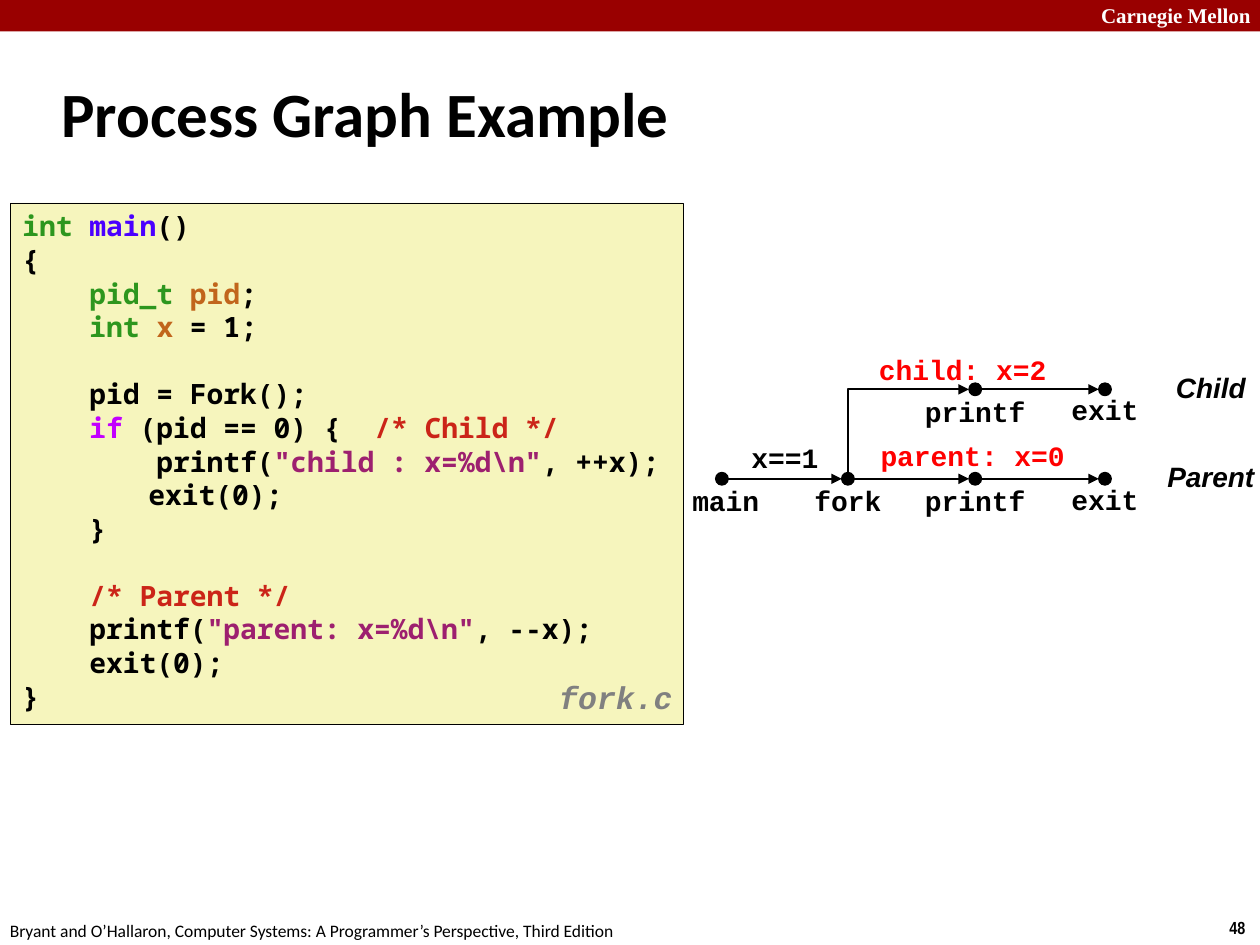
from lxml import etree
from pptx import Presentation
from pptx import util as u
from pptx.dml.color import RGBColor
from pptx.enum import shapes, text
from pptx.oxml.ns import qn

COLORS = {
    "black": "000000", "white": "FFFFFF", "banner": "990000", "code": "F6F5BD",
    "type": "2D961E", "function": "4A00FF", "variable": "C1651C",
    "keyword": "C200FF", "comment": "CB2418", "string": "9D206F",
    "value": "FF0000", "file": "808080",
}
CODE_PITCH = 19.2
# Each line: its runs as (text, colour), then the number of empty lines above it.
CODE_LINES = [
    ([("int ", "type"), ("main", "function"), ("()", "black")], 0),
    ([("{", "black")], 0),
    ([("    pid_t ", "type"), ("pid", "variable"), (";", "black")], 0),
    ([("    int ", "type"), ("x", "variable"), (" = 1;", "black")], 0),
    ([("    pid = Fork();", "black")], 1),
    ([("    if", "keyword"), (" (pid == 0) {  ", "black"), ("/* Child */", "comment")], 0),
    ([("        printf(", "black"), ('"child : x=%d\\n"', "string"), (", ++x);", "black")], 0),
    ([("\texit(0);", "black")], 0),
    ([("    }", "black")], 0),
    ([("    /* Parent */", "comment")], 1),
    ([("    printf(", "black"), ('"parent: x=%d\\n"', "string"), (", --x);", "black")], 0),
    ([("    exit(0);", "black")], 0),
    ([("}", "black")], 0),
]


def rgb(name):
    return RGBColor.from_string(COLORS[name])


def add_run(paragraph, content, font="Courier New", size=16, color="black",
            bold=True, italic=False):
    run = paragraph.add_run()
    run.text = content
    run.font.name = font
    run.font.size = u.Pt(size)
    run.font.bold = bold
    run.font.italic = italic
    run.font.color.rgb = rgb(color)


def add_text(slide, content, left, top, width, height, align=text.PP_ALIGN.LEFT,
             anchor=text.MSO_ANCHOR.TOP, wrap=False, spacing=None, **font_format):
    shape = slide.shapes.add_textbox(*map(u.Inches, (left, top, width, height)))
    frame = shape.text_frame
    frame.word_wrap = wrap
    frame.vertical_anchor = anchor
    paragraph = frame.paragraphs[0]
    paragraph.alignment = align
    if spacing:
        paragraph.line_spacing = spacing
    add_run(paragraph, content, **font_format)


def add_filled_shape(slide, kind, left, top, width, height, fill, line_width=None):
    shape = slide.shapes.add_shape(kind, *map(u.Inches, (left, top, width, height)))
    shape.shadow.inherit = False
    shape.fill.solid()
    shape.fill.fore_color.rgb = rgb(fill)
    if line_width is None:
        shape.line.fill.background()
    else:
        shape.line.color.rgb = rgb("black")
        shape.line.width = u.Pt(line_width)
    return shape


def add_arrow(slide, start, end, kind=shapes.MSO_CONNECTOR.STRAIGHT):
    connector = slide.shapes.add_connector(kind, *map(u.Inches, (*start, *end)))
    connector.line.color.rgb = rgb("black")
    connector.line.width = u.Pt(1)
    properties = connector._element.spPr
    etree.SubElement(properties.find(qn("a:ln")), qn("a:tailEnd"), type="triangle")
    etree.SubElement(properties, qn("a:effectLst"))
    return connector


def add_corner_arrow(slide, start, end):
    """Arrow that goes up from start and then right to end."""
    run, rise = end[0] - start[0], start[1] - end[1]
    center_x, center_y = (start[0] + end[0]) / 2, (start[1] + end[1]) / 2
    # The preset is turned by a quarter, so its width is the rise.
    connector = add_arrow(slide, (center_x + rise / 2, center_y + run / 2),
                          (center_x - rise / 2, center_y - run / 2),
                          shapes.MSO_CONNECTOR.ELBOW)
    properties = connector._element.spPr
    properties.find(qn("a:xfrm")).set("rot", "5400000")
    properties.find(qn("a:prstGeom")).set("prst", "bentConnector2")


def add_tab_stop(paragraph, position):
    tabs = etree.SubElement(paragraph._p.get_or_add_pPr(), qn("a:tabLst"))
    etree.SubElement(tabs, qn("a:tab"), pos=str(u.Inches(position)), algn="l")


def add_banner(slide, left, top, width, height):
    add_filled_shape(slide, shapes.MSO_SHAPE.RECTANGLE, left, top, width, height, "banner")
    add_text(slide, "Carnegie Mellon", left + width - 1.36, top - 0.03, 1.43, 0.3,
             wrap=True, font="Times New Roman", size=12, color="white")


def add_footer(slide, left, top, width):
    add_text(slide, "Bryant and O’Hallaron, Computer Systems: "
             "A Programmer’s Perspective, Third Edition",
             left - 0.02, top + 0.02, 5.08, 0.27, font="Calibri", size=10, bold=False)
    add_text(slide, "48", left + width - 0.34, top, 0.34, 0.27,
             font="Arial Narrow", size=10)


def add_code_panel(slide, left, top, width, height):
    panel = add_filled_shape(slide, shapes.MSO_SHAPE.RECTANGLE,
                             left, top, width, height, "code", 0.25)
    frame = panel.text_frame
    frame.word_wrap = True
    frame.vertical_anchor = text.MSO_ANCHOR.TOP
    for index, (runs, gap) in enumerate(CODE_LINES):
        paragraph = frame.add_paragraph() if index else frame.paragraphs[0]
        paragraph.alignment = text.PP_ALIGN.LEFT
        if gap:
            paragraph.space_before = u.Pt(gap * CODE_PITCH)
        if runs[0][0].startswith("\t"):
            add_tab_stop(paragraph, 1)
        for content, color in runs:
            add_run(paragraph, content, font="Noto Sans Mono", color=color)
    add_text(slide, "fork.c", left + width - 1.08, top + height - 0.39, 1.17, 0.39,
             spacing=0.94, size=18, color="file", italic=True)


def add_process_graph(slide, left, top):
    dot, label_height = 0.1, 0.37
    main_x, fork_x, printf_x, exit_x = (left + x for x in (0.34, 1.34, 2.35, 3.38))
    child_y, parent_y = top + 0.34, top + 1.05

    def add_label(content, center_x, label_top, width=1.04, **font_format):
        add_text(slide, content, center_x - width / 2, label_top, width, label_height,
                 align=text.PP_ALIGN.CENTER, **font_format)

    add_corner_arrow(slide, (fork_x, parent_y), (printf_x - dot / 2, child_y))
    rows = [(child_y, [printf_x, exit_x]),
            (parent_y, [main_x, fork_x, printf_x, exit_x])]
    for y, stops in rows:
        for start, end in zip(stops, stops[1:]):
            add_arrow(slide, (start + dot / 2, y), (end - dot / 2, y))
        for x in stops:
            add_filled_shape(slide, shapes.MSO_SHAPE.OVAL, x - dot / 2, y - dot / 2,
                             dot, dot, "black", 0.75)
        add_label("printf", printf_x, y - 0.01)
        add_label("exit", exit_x, y - 0.02)
    add_label("main", main_x + 0.03, parent_y - 0.01)
    add_label("fork", fork_x, parent_y - 0.01)
    add_label("x==1", left + 0.84, parent_y - 0.35)
    add_label("child: x=2", left + 2.25, child_y - 0.34, width=2, color="value")
    add_label("parent: x=0", left + 2.33, parent_y - 0.37, width=2, color="value")
    for name, y in (("Child", child_y), ("Parent", parent_y)):
        add_label(name, left + 4.22, y - 0.2, font="Arial", italic=True)


def main():
    presentation = Presentation()
    presentation.slide_width, presentation.slide_height = u.Inches(10), u.Inches(7.5)
    slide = presentation.slides.add_slide(presentation.slide_layouts[6])
    add_banner(slide, 0, 0, 10, 0.25)
    add_footer(slide, 0, 7.23, 10)
    add_text(slide, "Process Graph Example", 0.39, 0.48, 8.3, 0.83, wrap=True,
             anchor=text.MSO_ANCHOR.MIDDLE, font="Calibri", size=36)
    add_code_panel(slide, 0.08, 1.61, 5.34, 4.14)
    add_process_graph(slide, 5.39, 2.75)
    presentation.save("out.pptx")


if __name__ == "__main__":
    main()
